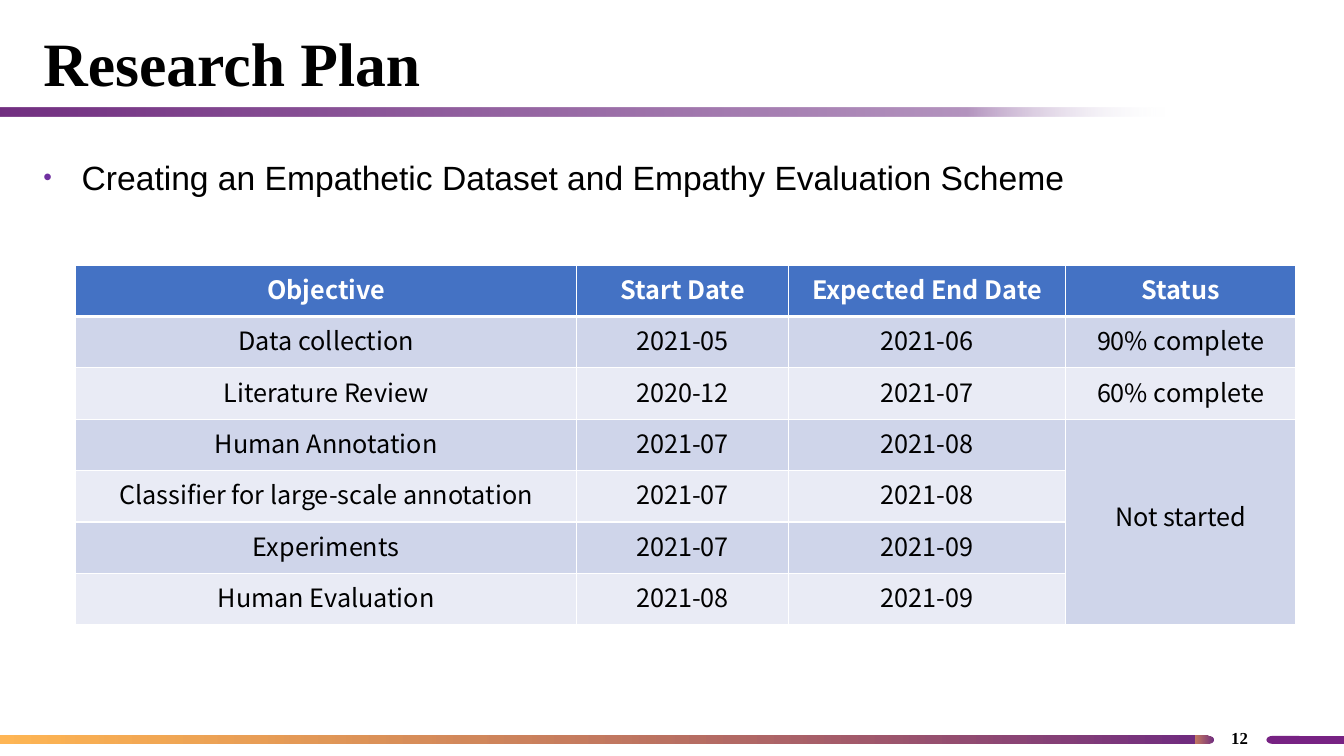
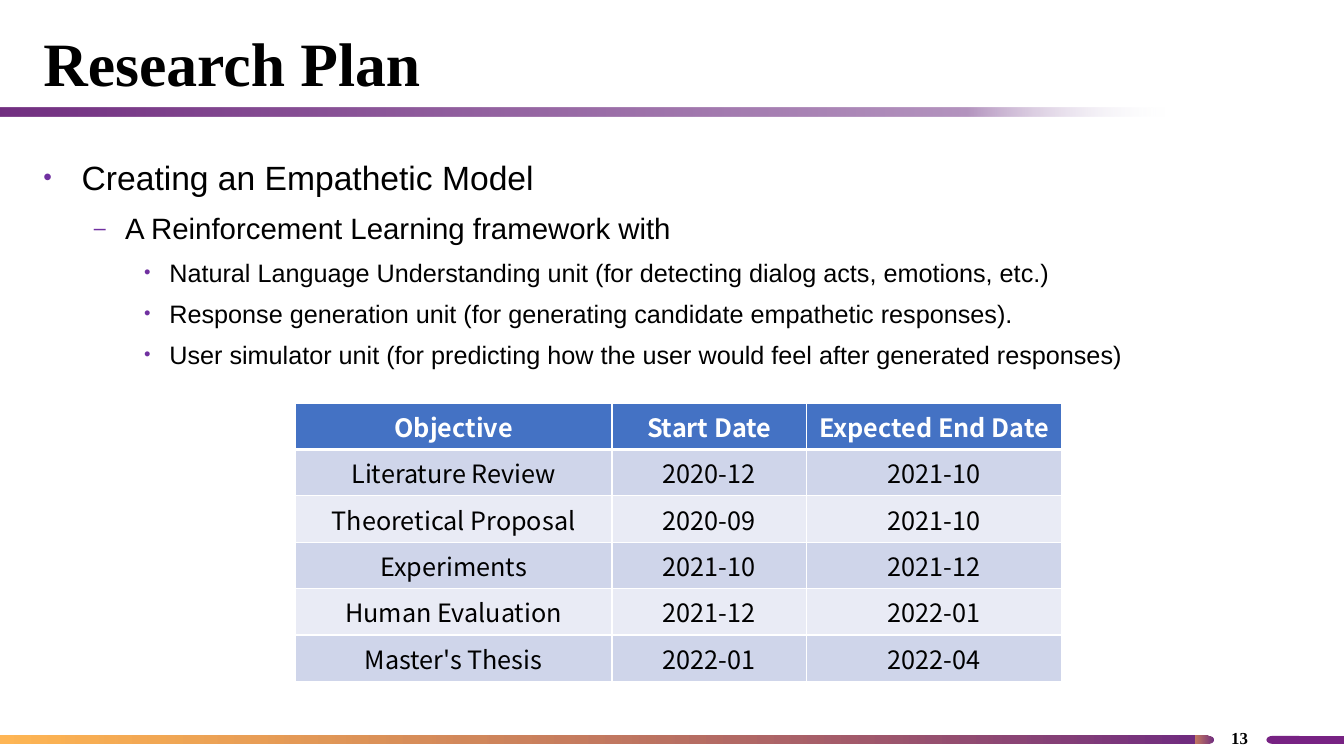
from dataclasses import dataclass

from lxml import etree
from pptx import Presentation
from pptx.dml.color import RGBColor
from pptx.enum import shapes, text
from pptx.oxml.ns import qn
from pptx.util import Inches, Pt


@dataclass(frozen=True)
class Theme:
    # Colours
    black: str = "000000"
    white: str = "FFFFFF"
    bullet: str = "7030A0"
    plum: str = "772283"
    head: str = "4472C4"
    bands: tuple = ("CFD5EA", "E9EBF5")
    # Gradient stops: position, colour, opacity (percent)
    sunset: tuple = ((0, "FF9200", 67), (100, "712D80", 100))
    fade: tuple = ((0, "722F81", 100), (83, "B494BF", 100), (100, "F6F8FC", 0))
    # Type
    serif: str = "Times New Roman"
    sans: str = "Arial"
    grid: str = "Noto Sans CJK SC"
    title: int = 44
    cell: int = 18
    page: int = 12
    # List levels: size, left margin, hanging indent, bullet
    levels: tuple = ((24, 0.38, 0.38, "•"), (21, 0.81, 0.31, "–"), (18, 1.25, 0.25, "•"))


T = Theme()


# Helpers
def put(item, **vals):
    for key, val in vals.items():
        setattr(item, key, val)


def box(*nums):
    return [Inches(n) for n in nums]


def style(para, size, name, color=T.black, bold=False):
    put(para.font, size=Pt(size), name=name, bold=bold)
    para.font.color.rgb = RGBColor.from_string(color)


def node(root, tag, **vals):
    item = etree.SubElement(root, qn("a:" + tag))
    for key, val in vals.items():
        item.set(key, str(val))
    return item


# Bands shared through the layout
def blend(bar, stops):
    bar.fill.gradient()
    bar.fill.gradient_angle = 0
    root = bar.element.spPr.find(qn("a:gradFill")).find(qn("a:gsLst"))
    for old in list(root):
        root.remove(old)
    for pos, color, alpha in stops:
        stop = node(root, "gs", pos=pos * 1000)
        node(node(stop, "srgbClr", val=color), "alpha", val=alpha * 1000)


def bands(slide):
    kind = shapes.MSO_SHAPE
    tip, strip = kind.FLOWCHART_TERMINATOR, kind.FLOWCHART_PROCESS
    tree = slide.slide_layout.element.cSld.spTree
    for num, (form, area, paint) in enumerate((
        (tip, (11.66, 7.3, 0.38, 0.08), T.sunset),
        (strip, (-0.02, 7.3, 11.87, 0.08), T.sunset),
        (tip, (12.56, 7.3, 0.38, 0.08), T.plum),
        (strip, (12.75, 7.3, 0.62, 0.08), T.plum),
        (strip, (-0.02, 1.07, 11.57, 0.09), T.fade),
    )):
        bar = slide.shapes.add_shape(form, *box(*area))
        bar.shadow.inherit = False
        bar.line.fill.background()
        if isinstance(paint, str):
            bar.fill.solid()
            bar.fill.fore_color.rgb = RGBColor.from_string(paint)
        else:
            blend(bar, paint)
        bar.element.nvSpPr.cNvPr.set("id", str(20 + num))
        tree.append(bar.element)


def frame(layout):
    for hold, area in zip(layout.placeholders,
                          ((0.33, 0.2, 10.03, 0.8), (0.33, 1.43, 12.95, 5.41))):
        left, top, width, height = box(*area)
        put(hold, left=left, top=top, width=width, height=height)


# Slide parts
def title(slide, words):
    body = slide.shapes.title.text_frame
    put(body, text=words, vertical_anchor=text.MSO_ANCHOR.TOP,
        auto_size=text.MSO_AUTO_SIZE.NONE)
    para = body.paragraphs[0]
    para.alignment = text.PP_ALIGN.LEFT
    style(para, T.title, T.serif, bold=True)


def page(slide, num):
    body = slide.shapes.add_textbox(*box(12.03, 7.13, 0.53, 0.37)).text_frame
    put(body, text=str(num), word_wrap=True, vertical_anchor=text.MSO_ANCHOR.MIDDLE)
    para = body.paragraphs[0]
    para.alignment = text.PP_ALIGN.CENTER
    style(para, T.page, T.serif, bold=True)


def points(slide, items):
    body = slide.placeholders[1].text_frame
    put(body, text="\n".join(words for _, words in items),
        auto_size=text.MSO_AUTO_SIZE.NONE)
    for para, (level, _) in zip(body.paragraphs, items):
        size, left, hang, mark = T.levels[level]
        put(para, level=level, line_spacing=1.2)
        style(para, size, T.sans)
        # Spacing and bullet come before the run defaults
        props = para._p.get_or_add_pPr()
        props.set("marL", str(Inches(left)))
        props.set("indent", str(-Inches(hang)))
        last = props.find(qn("a:defRPr"))
        node(node(props, "spcBef"), "spcPct", val=20000)
        node(node(props, "buClr"), "srgbClr", val=T.bullet)
        node(props, "buSzPct", val=73000)
        node(props, "buFont", typeface=T.sans)
        node(props, "buChar", char=mark)
        if last is not None:
            props.append(last)
        for run in para.runs:
            style(run, size, T.sans)


def edges(cell, row):
    props = cell._tc.get_or_add_tcPr()
    wide = {"lnT": 3 if row == 1 else 1, "lnB": 3 if row == 0 else 1}
    for side in ("lnL", "lnR", "lnT", "lnB"):
        line = node(props, side, w=Pt(wide.get(side, 1)))
        node(node(line, "solidFill"), "srgbClr", val=T.white)


def grid(slide, left, top, widths, height, rows):
    area = box(left, top, sum(widths), height * len(rows))
    table = slide.shapes.add_table(len(rows), len(widths), *area).table
    put(table, first_row=False, horz_banding=False)
    for col, width in zip(table.columns, widths):
        col.width = Inches(width)
    for r, row in enumerate(rows):
        table.rows[r].height = Inches(height)
        for c in range(len(widths)):
            cell = table.cell(r, c)
            edges(cell, r)
            cell.fill.solid()
            color = T.bands[(r - 1) % 2] if r else T.head
            cell.fill.fore_color.rgb = RGBColor.from_string(color)
            if c < len(row):
                cell.text = row[c]
                para = cell.text_frame.paragraphs[0]
                para.alignment = text.PP_ALIGN.CENTER
                for run in para.runs:
                    style(run, T.cell, T.grid, T.black if r else T.white, not r)
    return table


def start(deck, num):
    slide = deck.slides.add_slide(deck.slide_layouts[1])
    title(slide, "Research Plan")
    page(slide, num)
    return slide


# Slides
def data(slide):
    points(slide, [(0, "Creating an Empathetic Dataset and Empathy Evaluation Scheme")])
    table = grid(slide, 0.75, 2.63, (4.97, 2.1, 2.75, 2.28), 0.51, (
        ("Objective", "Start Date", "Expected End Date", "Status"),
        ("Data collection", "2021-05", "2021-06", "90% complete"),
        ("Literature Review", "2020-12", "2021-07", "60% complete"),
        ("Human Annotation", "2021-07", "2021-08", "Not started"),
        ("Classifier for large-scale annotation", "2021-07", "2021-08"),
        ("Experiments", "2021-07", "2021-09"),
        ("Human Evaluation", "2021-08", "2021-09"),
    ))
    status = table.cell(3, 3)
    status.merge(table.cell(6, 3))
    status.margin_top = Inches(0.77)


def model(slide):
    points(slide, [
        (0, "Creating an Empathetic Model"),
        (1, "A Reinforcement Learning framework with"),
        (2, "Natural Language Understanding unit (for detecting dialog acts, emotions, etc.)"),
        (2, "Response generation unit (for generating candidate empathetic responses)."),
        (2, "User simulator unit (for predicting how the user would feel after generated responses)"),
    ])
    grid(slide, 2.93, 4, (3.14, 1.93, 2.53), 0.46, (
        ("Objective", "Start Date", "Expected End Date"),
        ("Literature Review", "2020-12", "2021-10"),
        ("Theoretical Proposal", "2020-09", "2021-10"),
        ("Experiments", "2021-10", "2021-12"),
        ("Human Evaluation", "2021-12", "2022-01"),
        ("Master's Thesis", "2022-01", "2022-04"),
    ))


def main():
    deck = Presentation()
    put(deck, slide_width=Inches(13.33), slide_height=Inches(7.5))
    frame(deck.slide_layouts[1])
    for num, fill in enumerate((data, model), 12):
        fill(start(deck, num))
    bands(deck.slides[0])
    deck.save("out.pptx")


if __name__ == "__main__":
    main()
